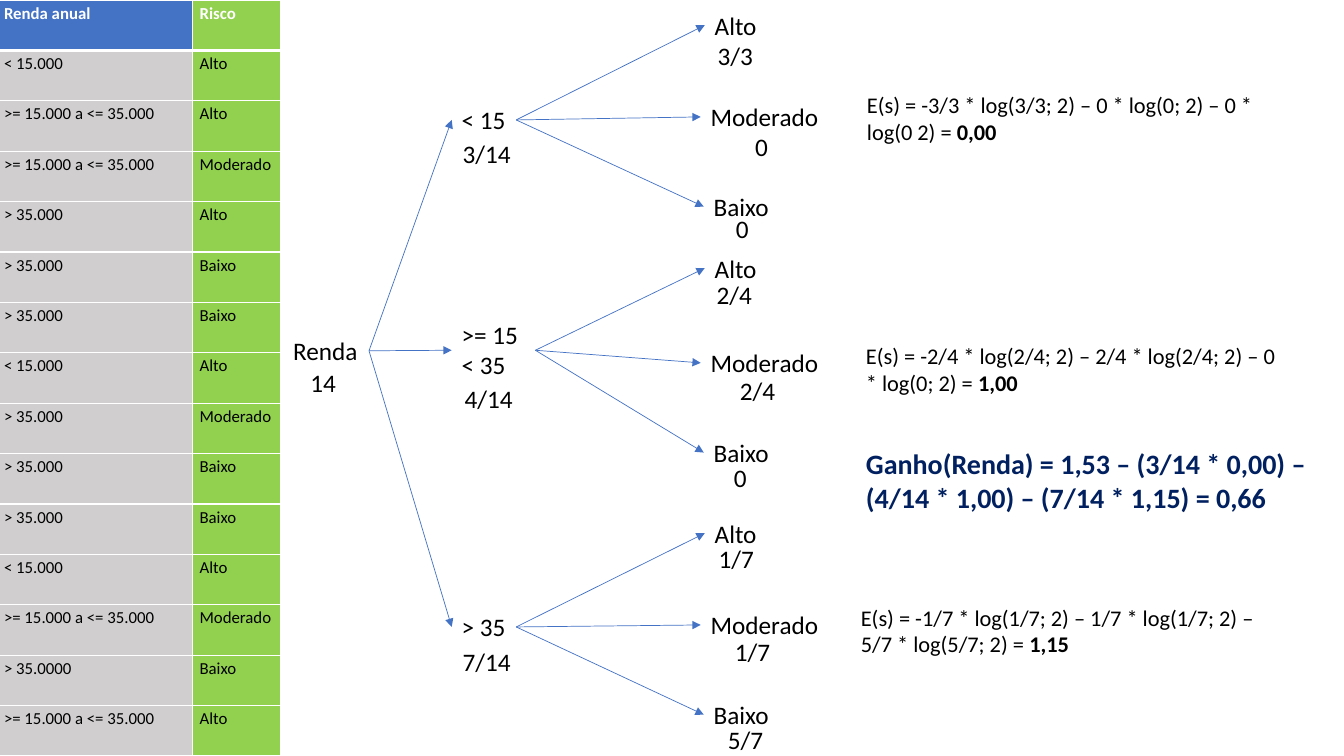
"""Build the slide that works out the information gain of income on credit risk."""
from lxml import etree
from pptx import Presentation
from pptx.dml.color import RGBColor
from pptx.enum.shapes import MSO_CONNECTOR
from pptx.enum.text import MSO_AUTO_SIZE
from pptx.oxml.ns import qn
from pptx.util import Emu, Pt

STRAIGHT = MSO_CONNECTOR.STRAIGHT
GROW = MSO_AUTO_SIZE.SHAPE_TO_FIT_TEXT
PX = 9144
LEFT_SITE, RIGHT_SITE = 1, 3
THEME = {
    "font": "Calibri", "ink": "000000", "white": "FFFFFF", "blue": "4472C4",
    "green": "92D050", "grey": "D0CECE", "navy": "002060",
    "node": 18, "formula": 16, "gain": 20, "cell": 12,
    "arrow": 0.5, "rule": 1, "header_rule": 3,
}


def style(span, size, color="ink", bold=False):
    """Give a run its font, size, colour and weight."""
    values = {"name": THEME["font"], "size": Pt(THEME[size]), "bold": bold}
    for name, value in values.items():
        setattr(span.font, name, value)
    span.font.color.rgb = RGBColor.from_string(THEME[color])


def add_text(place, words, size="node", color="ink", bold=False, wrap=False, result=""):
    """Place a text box, with an optional bold result after the words."""
    box = page.shapes.add_textbox(*(Emu(length * PX) for length in place))
    frame = box.text_frame
    for name, value in {"word_wrap": wrap, "auto_size": GROW}.items():
        setattr(frame, name, value)
    para = frame.paragraphs[0]
    para.text = words
    for span in para.runs:
        style(span, size, color, bold)
    if result:
        span = para.add_run()
        span.text = result
        style(span, size, color, True)
    return box


deck = Presentation()
deck.slide_width, deck.slide_height = Emu(1333 * PX), Emu(750 * PX)
page = deck.slides.add_slide(deck.slide_layouts[6])

LOW, MIDDLE, HIGH = "< 15.000", ">= 15.000 a <= 35.000", "> 35.000"
RECORDS = [
    ("Renda anual", "Risco"),
    (LOW, "Alto"), (MIDDLE, "Alto"), (MIDDLE, "Moderado"), (HIGH, "Alto"),
    (HIGH, "Baixo"), (HIGH, "Baixo"), (LOW, "Alto"), (HIGH, "Moderado"),
    (HIGH, "Baixo"), (HIGH, "Baixo"), (LOW, "Alto"), (MIDDLE, "Moderado"),
    ("> 35.0000", "Baixo"), (MIDDLE, "Alto"),
]
LEAVES = [("Alto", 699, 62), ("Moderado", 695, 128), ("Baixo", 698, 75)]
BRANCHES = [
    {"label": "< 15", "place": (448, 99, 64, 40),
     "share": "3/14", "share_at": (449, 132), "leaf_tops": (5, 96, 185),
     "leaf_shares": [("3/3", 702, 35), ("0", 739, 125), ("0", 720, 207)]},
    {"label": ">= 15 \v< 35", "place": (448, 312, 83, 71),
     "share": "4/14", "share_at": (451, 375), "leaf_tops": (246, 340, 429),
     "leaf_shares": [("2/4", 701, 272), ("2/4", 724, 367), ("0", 718, 454)]},
    {"label": "> 35", "place": (448, 602, 64, 40),
     "share": "7/14", "share_at": (449, 636), "leaf_tops": (509, 600, 689),
     "leaf_shares": [("1/7", 703, 534), ("1/7", 719, 626), ("5/7", 712, 714)]},
]
FORMULAS = [
    (850, 86, "E(s) = -3/3 * log(3/3; 2) – 0 * log(0; 2) – 0 * log(0 2) = ", "0,00"),
    (849, 335, "E(s) = -2/4 * log(2/4; 2) – 2/4 * log(2/4; 2) – 0 * log(0; 2) = ", "1,00"),
    (844, 594, "E(s) = -1/7 * log(1/7; 2) – 1/7 * log(1/7; 2) – 5/7 * log(5/7; 2) = ", "1,15"),
]

root = add_text((281, 328, 85, 40), "Renda")
add_text((298, 359, 46, 40), "14")
links = []
for branch in BRANCHES:
    node = add_text(branch["place"], branch["label"])
    add_text((*branch["share_at"], 68, 40), branch["share"])
    links.append((root, node))
    for (label, left, width), top, (share, share_left, share_top) in zip(
            LEAVES, branch["leaf_tops"], branch["leaf_shares"]):
        leaf = add_text((left, top, width, 40), label)
        add_text((share_left, share_top, 62, 40), share, wrap=True)
        links.append((node, leaf))

for source, target in links:
    arrow = page.shapes.add_connector(STRAIGHT, 0, 0, 0, 0)
    arrow.begin_connect(source, RIGHT_SITE)
    arrow.end_connect(target, LEFT_SITE)
    arrow.line.width = Pt(THEME["arrow"])
    arrow.line.color.rgb = RGBColor.from_string(THEME["blue"])
    properties = arrow._element.spPr
    etree.SubElement(properties.find(qn("a:ln")), qn("a:tailEnd"), type="triangle")
    etree.SubElement(properties, qn("a:effectLst"))

for left, top, words, result in FORMULAS:
    add_text((left, top, 427, 64), words, "formula", wrap=True, result=result)
add_text((849, 438, 484, 77),
         "Ganho(Renda) = 1,53 – (3/14 * 0,00) – (4/14 * 1,00) – (7/14 * 1,15) = 0,66",
         "gain", "navy", bold=True, wrap=True)

table = page.shapes.add_table(
    len(RECORDS), 2, Emu(-3 * PX), Emu(0), Emu(281 * PX), Emu(750 * PX)).table
table.horz_banding = False
for column, width in zip(table.columns, (194, 87)):
    column.width = Emu(width * PX)
CELL_MARGINS = {"margin_left": 7, "margin_right": 7, "margin_top": 0, "margin_bottom": 0}
for row, record in enumerate(RECORDS):
    table.rows[row].height = Emu(50 * PX)
    header = row == 0
    fills = ("blue" if header else "grey", "green")
    for column, (words, fill) in enumerate(zip(record, fills)):
        cell = table.cell(row, column)
        for name, value in CELL_MARGINS.items():
            setattr(cell, name, Emu(value * PX))
        cell.fill.solid()
        cell.fill.fore_color.rgb = RGBColor.from_string(THEME[fill])
        para = cell.text_frame.paragraphs[0]
        para.line_spacing = 1.15
        span = para.add_run()
        span.text = words
        style(span, "cell", "white" if header else "ink", header)
        for order, side in enumerate("LRTB"):
            thick = (row, side) in ((0, "B"), (1, "T"))
            weight = Pt(THEME["header_rule" if thick else "rule"])
            border = etree.Element(qn(f"a:ln{side}"), w=str(weight))
            paint = etree.SubElement(border, qn("a:solidFill"))
            etree.SubElement(paint, qn("a:srgbClr"), val=THEME["white"])
            cell._tc.get_or_add_tcPr().insert(order, border)

deck.save("out.pptx")
